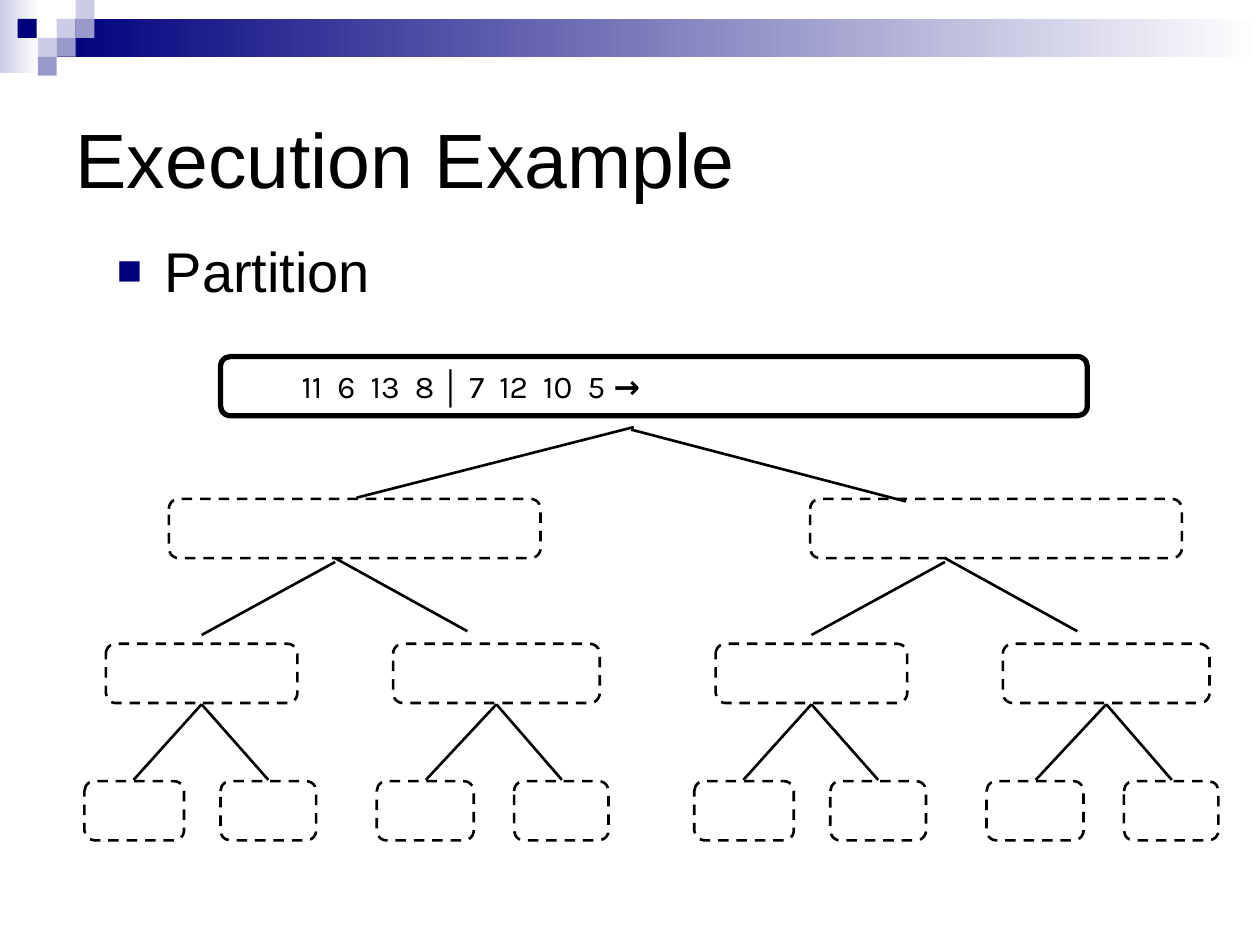
from pptx import Presentation
from pptx.dml.color import RGBColor
from pptx.enum.dml import MSO_LINE
from pptx.enum.shapes import MSO_CONNECTOR, MSO_SHAPE
from pptx.enum.text import MSO_ANCHOR, PP_ALIGN
from pptx.oxml.ns import qn
from pptx.util import Inches, Pt
from lxml import etree

RECTANGLE, ROUNDED = MSO_SHAPE.RECTANGLE, MSO_SHAPE.ROUNDED_RECTANGLE
STRAIGHT = MSO_CONNECTOR.STRAIGHT
DASH = MSO_LINE.DASH
MIDDLE, TOP = MSO_ANCHOR.MIDDLE, MSO_ANCHOR.TOP
LEFT = PP_ALIGN.LEFT

BLACK = RGBColor(0x00, 0x00, 0x00)
WHITE = RGBColor(0xFF, 0xFF, 0xFF)
NAVY = RGBColor(0x00, 0x00, 0x7D)
LAVENDER = RGBColor(0xCC, 0xCC, 0xE6)
PERIWINKLE = RGBColor(0x99, 0x99, 0xCC)

NODE_HEIGHT = 0.47
SUBTREE_SHIFT = 4.84  # from the left half of the tree to the right half

# Header squares: left, top, colour
SQUARE = 0.15
SQUARES = [
    (0.45, 0.15, LAVENDER), (0.6, 0, LAVENDER), (0.6, 0.15, PERIWINKLE),
    (0.3, 0.3, LAVENDER), (0.14, 0.15, NAVY), (0.45, 0.3, PERIWINKLE),
    (0.3, 0.45, PERIWINKLE),
]

# Tree nodes: left, top, width
HALVES = [(1.34, 3.96, 2.95), (6.43, 3.96, 2.95)]
SUBTREE_NODES = [
    (0.84, 5.11, 1.52), (3.12, 5.11, 1.64),
    (0.67, 6.2, 0.79), (1.75, 6.2, 0.76), (2.99, 6.2, 0.77), (4.08, 6.2, 0.75),
]

# Tree branches: start x, start y, end x, end y
ROOT_BRANCHES = [(2.83, 3.95, 5.03, 3.39), (7.19, 3.98, 5.01, 3.41)]
SUBTREE_BRANCHES = [
    (1.6, 5.04, 2.66, 4.46), (3.71, 5.01, 2.66, 4.43),
    (1.06, 6.19, 1.6, 5.59), (1.6, 5.59, 2.13, 6.19),
    (3.38, 6.19, 3.94, 5.59), (3.94, 5.59, 4.46, 6.19),
]


def add_bar(page, left, top, width, height, color, end_color=None):
    bar = page.shapes.add_shape(
        RECTANGLE, Inches(left), Inches(top), Inches(width), Inches(height))
    bar.shadow.inherit = False
    bar.line.fill.background()
    if end_color is None:
        bar.fill.solid()
        bar.fill.fore_color.rgb = color
        return
    bar.fill.gradient()
    bar.fill.gradient_angle = 0
    for stop, stop_color in zip(bar.fill.gradient_stops, (color, end_color)):
        stop.color.rgb = stop_color


def add_node(page, left, top, width, weight=1.5, dash=DASH):
    node = page.shapes.add_shape(
        ROUNDED, Inches(left), Inches(top), Inches(width), Inches(NODE_HEIGHT))
    node.adjustments[0] = 0.167
    node.shadow.inherit = False
    node.fill.background()
    node.line.color.rgb = BLACK
    node.line.width = Pt(weight)
    if dash is not None:
        node.line.dash_style = dash
    return node


def add_branch(page, start_x, start_y, end_x, end_y):
    branch = page.shapes.add_connector(
        STRAIGHT, Inches(start_x), Inches(start_y), Inches(end_x), Inches(end_y))
    branch.line.color.rgb = BLACK
    branch.line.width = Pt(1.5)
    etree.SubElement(branch._element.spPr, qn("a:effectLst"))


def add_span(para, text, size, font="Arial", bold=False):
    span = para.add_run()
    span.text = text
    span.font.name = font
    span.font.size = Pt(size)
    span.font.bold = bold
    span.font.color.rgb = BLACK


def set_frame(box, anchor, wrap=True, inset=0.1):
    frame = box.text_frame
    frame.word_wrap = wrap
    frame.vertical_anchor = anchor
    frame.margin_left = Inches(inset)
    para = frame.paragraphs[0]
    para.alignment = LEFT
    return para


def add_bullet(para, char, color, percent, indent):
    properties = para._p.get_or_add_pPr()
    properties.set("marL", str(Inches(indent)))
    properties.set("indent", str(-Inches(indent)))
    bullet_color = etree.SubElement(properties, qn("a:buClr"))
    etree.SubElement(bullet_color, qn("a:srgbClr"), val=str(color))
    etree.SubElement(properties, qn("a:buSzPct"), val=str(percent * 1000))
    etree.SubElement(properties, qn("a:buFont"), typeface="Arial")
    etree.SubElement(properties, qn("a:buChar"), char=char)


def add_header(page):
    add_bar(page, 0, 0, 0.31, 0.58, LAVENDER, WHITE)
    add_bar(page, 0.45, 0.15, 9.55, 0.3, NAVY, WHITE)
    for left, top, color in SQUARES:
        add_bar(page, left, top, SQUARE, SQUARE, color)


def add_text(page):
    title = page.shapes.title
    title.left, title.top = Inches(0.5), Inches(0.5)
    title.width, title.height = Inches(9), Inches(1.5)
    add_span(set_frame(title, MIDDLE), "Execution Example", 44)

    body = page.shapes.add_textbox(
        Inches(0.83), Inches(1.83), Inches(8.5), Inches(0.75))
    para = set_frame(body, TOP)
    add_bullet(para, "■", NAVY, 75, 0.38)
    add_span(para, "Partition", 32)


def add_tree(page):
    for branch in ROOT_BRANCHES:
        add_branch(page, *branch)
    for node in HALVES:
        add_node(page, *node)
    for shift in (0, SUBTREE_SHIFT):
        for start_x, start_y, end_x, end_y in SUBTREE_BRANCHES:
            add_branch(page, start_x + shift, start_y, end_x + shift, end_y)
        for left, top, width in SUBTREE_NODES:
            add_node(page, left + shift, top, width)

    # Root: the sequence with its partition mark
    root = add_node(page, 1.75, 2.83, 6.88, weight=3, dash=None)
    para = set_frame(root, MIDDLE, inset=0.62)
    add_span(para, "11  6  13  8 ", 18.1, font="Karla")
    add_span(para, "│", 18.1, bold=True)
    add_span(para, " 7  12  10  5", 18.1, font="Karla")
    add_span(para, " →", 18.1, font="Karla", bold=True)


def main():
    deck = Presentation()
    deck.slide_width, deck.slide_height = Inches(10), Inches(7.5)
    page = deck.slides.add_slide(deck.slide_layouts[5])
    add_header(page)
    add_text(page)
    add_tree(page)
    deck.save("out.pptx")


if __name__ == "__main__":
    main()
